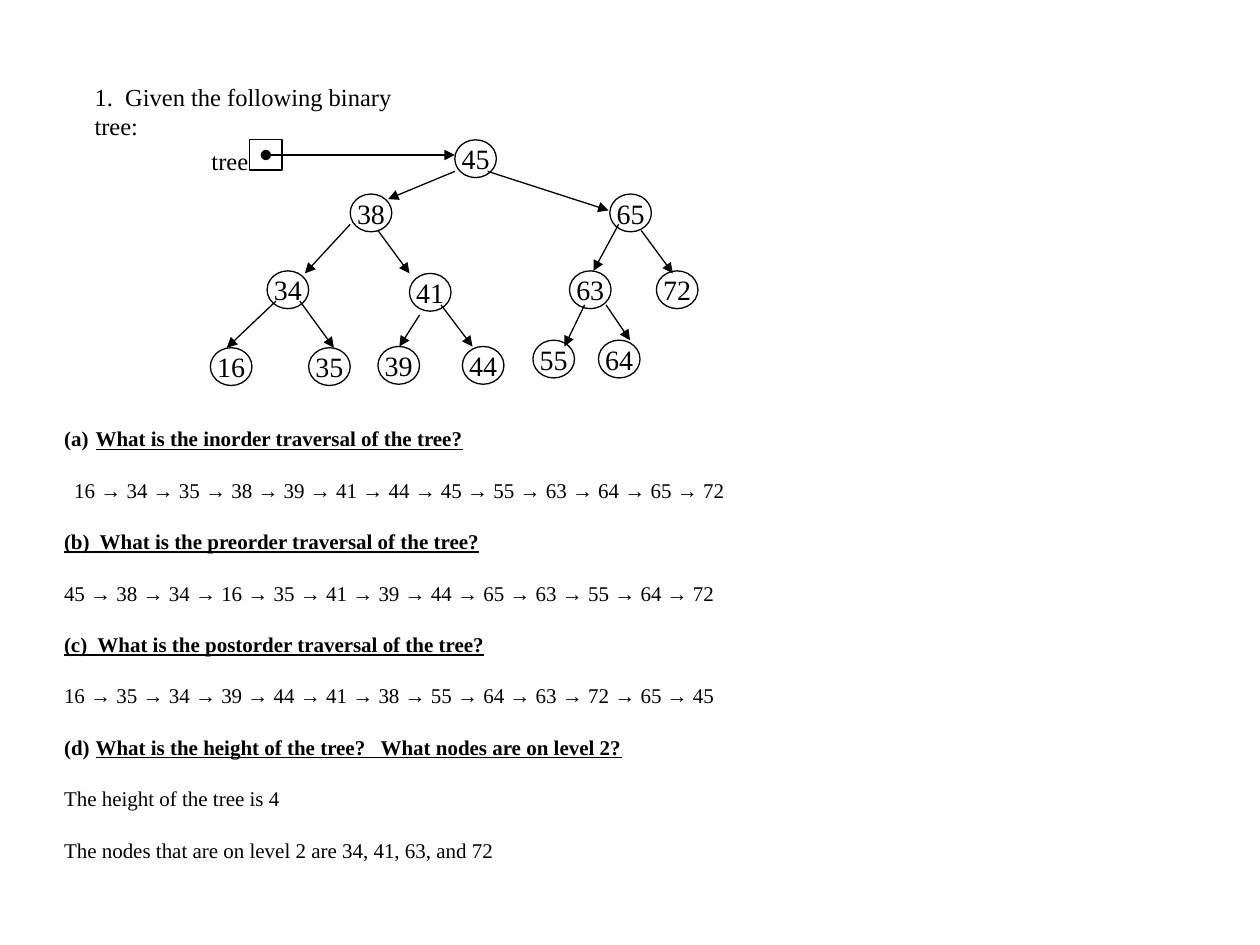
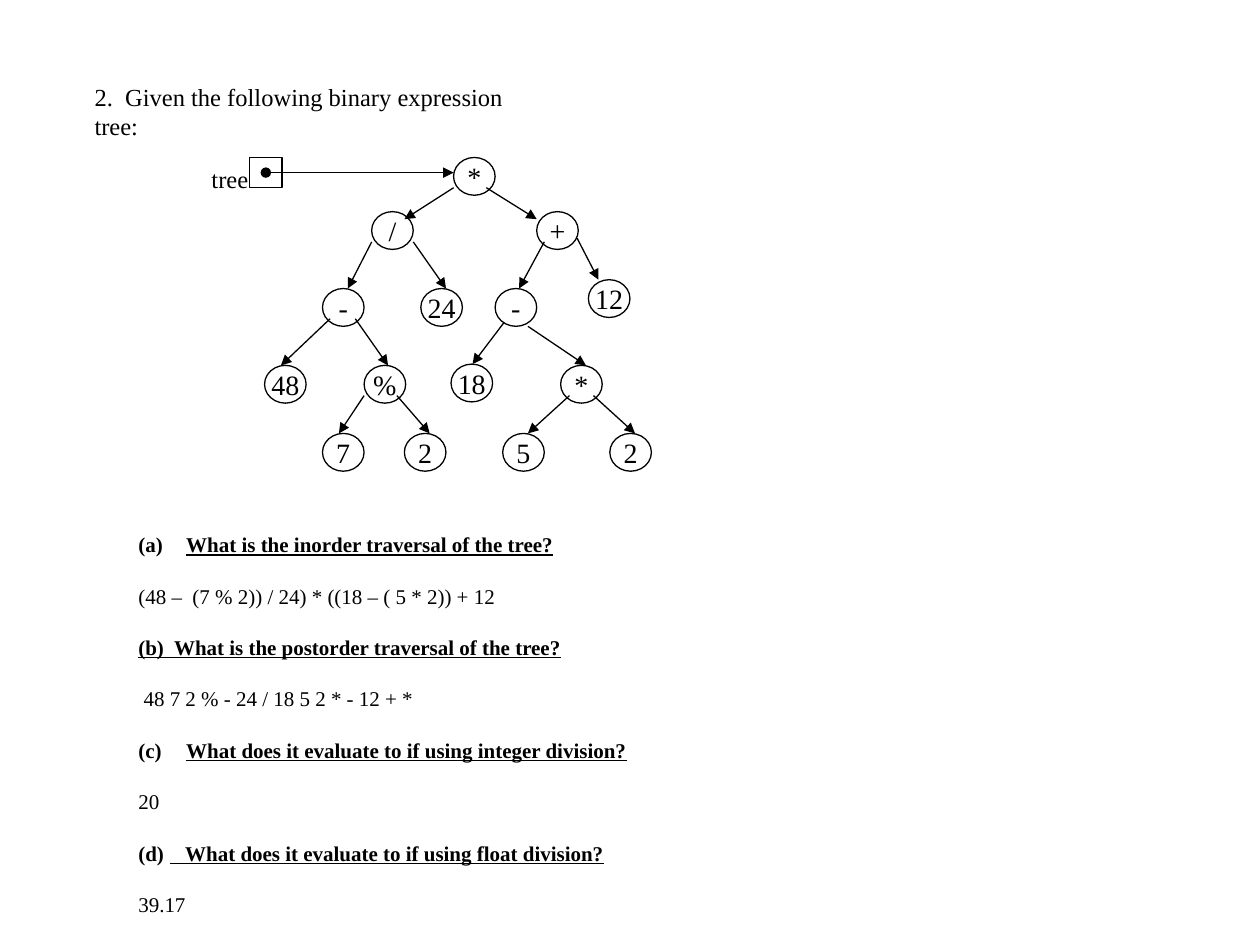
"""Build two slides of binary tree questions with their answers."""
from lxml.etree import SubElement
from pptx import Presentation
from pptx.dml.color import RGBColor
from pptx.enum.shapes import MSO_CONNECTOR, MSO_SHAPE
from pptx.enum.text import MSO_ANCHOR, MSO_AUTO_SIZE, PP_ALIGN
from pptx.oxml.ns import qn
from pptx.util import Inches, Pt

FONT = "Times New Roman"
HUES = {"ink": "000000"}
INK = RGBColor.from_string(HUES["ink"])
NODE_W, NODE_H = 0.33, 0.3
SEP = " \u2192 "

NUMBERS = {
    "title": "1.  Given the following binary tree:",
    "width": 2.85,
    "root": ("45", 3.61, 1.11),
    "nodes": [
        ("38", 2.78, 1.54, 3.61, 1.36, 3.08, 1.58),
        ("65", 4.84, 1.54, 3.87, 1.36, 4.83, 1.67),
        ("34", 2.12, 2.15, 2.78, 1.78, 2.42, 2.17),
        ("41", 3.25, 2.17, 3.00, 1.83, 3.25, 2.17),
        ("63", 4.52, 2.15, 4.91, 1.78, 4.71, 2.15),
        ("72", 5.21, 2.15, 5.09, 1.83, 5.34, 2.17),
        ("16", 1.67, 2.76, 2.19, 2.39, 1.80, 2.76),
        ("35", 2.45, 2.76, 2.38, 2.39, 2.65, 2.76),
        ("39", 3.00, 2.75, 3.33, 2.50, 3.17, 2.75),
        ("44", 3.67, 2.75, 3.50, 2.42, 3.75, 2.75),
        ("55", 4.23, 2.70, 4.64, 2.42, 4.48, 2.75),
        ("64", 4.75, 2.70, 4.81, 2.42, 5.00, 2.70),
    ],
    "body": (0.41, 3.33, 7.59, 3.94),
    "lines": [
        ("What is the inorder traversal of the tree?",
         {"head": True, "start": 1, "hang": 0.25}),
        (SEP.join("16 34 35 38 39 41 44 45 55 63 64 65 72".split()),
         {"left": 0.08}),
        ("(b)  What is the preorder traversal of the tree?", {"head": True}),
        (SEP.join("45 38 34 16 35 41 39 44 65 63 55 64 72".split()), {}),
        ("(c)  What is the postorder traversal of the tree?", {"head": True}),
        (SEP.join("16 35 34 39 44 41 38 55 64 63 72 65 45".split()), {}),
        ("What is the height of the tree?   What nodes are on level 2?",
         {"head": True, "start": 4, "hang": 0.25}),
        ("The height of the tree is 4", {}),
        ("The nodes that are on level 2 are 34, 41, 63, and 72", {}),
    ],
}

FORMULA = {
    "title": "2.  Given the following binary expression tree:",
    "width": 3.75,
    "root": ("*", 3.6, 1.25),
    "nodes": [
        ("/", 2.95, 1.68, 3.60, 1.49, 3.21, 1.74),
        ("+", 4.26, 1.68, 3.86, 1.49, 4.26, 1.74),
        ("-", 2.56, 2.29, 2.95, 1.92, 2.76, 2.29),
        ("24", 3.34, 2.29, 3.28, 1.92, 3.54, 2.29),
        ("-", 3.93, 2.29, 4.32, 1.92, 4.12, 2.29),
        ("12", 4.67, 2.22, 4.58, 1.89, 4.75, 2.22),
        ("48", 2.10, 2.90, 2.62, 2.53, 2.23, 2.90),
        ("%", 2.89, 2.90, 2.82, 2.53, 3.08, 2.90),
        ("18", 3.58, 2.89, 4.00, 2.56, 3.75, 2.89),
        ("*", 4.45, 2.90, 4.19, 2.59, 4.65, 2.90),
        ("7", 2.56, 3.44, 2.89, 3.14, 2.69, 3.44),
        ("2", 3.21, 3.44, 3.15, 3.14, 3.41, 3.44),
        ("5", 3.99, 3.44, 4.52, 3.14, 4.19, 3.44),
        ("2", 4.84, 3.44, 4.71, 3.14, 5.04, 3.44),
    ],
    "body": (1, 4.17, 4.2, 3.33),
    "lines": [
        ("What is the inorder traversal of the tree?",
         {"head": True, "start": 1, "hang": 0.38}),
        ("(48 \u2013  (7 % 2)) / 24) * ((18 \u2013 ( 5 * 2)) + 12", {}),
        ("(b)  What is the postorder traversal of the tree?", {"head": True}),
        (" 48 7 2 % - 24 / 18 5 2 * - 12 + *", {}),
        ("What does it evaluate to if using integer division?",
         {"head": True, "start": 3, "hang": 0.38}),
        ("20", {}),
        ("   What does it evaluate to if using float division?",
         {"head": True, "start": 4, "hang": 0.25}),
        ("39.17", {}),
    ],
}


def write(para, text, size=14, head=False, align=PP_ALIGN.LEFT, after=0,
          left=0, hang=0, start=None):
    run = para.add_run()
    run.text = text
    font = run.font
    font.name, font.size = FONT, Pt(size)
    font.bold = font.underline = head
    font.color.rgb = INK
    para.alignment = align
    para.space_after = Pt(after)
    props = para._p.get_or_add_pPr()
    props.set("marL", str(Inches(left + hang)))
    props.set("indent", str(Inches(-hang)))
    if start:
        SubElement(props, qn("a:buAutoNum"), type="alphaLcParenBoth",
                   startAt=str(start))


def place(shape, *box):
    shape.left, shape.top, shape.width, shape.height = map(Inches, box)


def frame(shape, wrap=True, anchor=MSO_ANCHOR.TOP):
    area = shape.text_frame
    area.auto_size = MSO_AUTO_SIZE.NONE
    area.word_wrap = wrap
    area.vertical_anchor = anchor
    return area


def stroke(shape):
    shape.line.color.rgb = INK
    shape.line.width = Pt(0.75)


def outline(shapes, kind, *box):
    shape = shapes.add_shape(kind, *map(Inches, box))
    shape.shadow.inherit = False
    shape.fill.background()
    stroke(shape)
    return shape


def arrow(shapes, *ends, head="none"):
    line = shapes.add_connector(MSO_CONNECTOR.STRAIGHT, *map(Inches, ends))
    stroke(line)
    props = line.element.spPr
    pen = props.find(qn("a:ln"))
    SubElement(pen, qn("a:headEnd"), type=head)
    SubElement(pen, qn("a:tailEnd"), type="triangle")
    SubElement(props, qn("a:effectLst"))


def node(shapes, text, left, top):
    oval = outline(shapes, MSO_SHAPE.OVAL, left, top, NODE_W, NODE_H)
    area = frame(oval, wrap=False, anchor=MSO_ANCHOR.MIDDLE)
    write(area.paragraphs[0], text, size=16, align=PP_ALIGN.CENTER)


def pointer(shapes, left, top):
    outline(shapes, MSO_SHAPE.RECTANGLE, 1.98, top, 0.26, 0.24)
    label = shapes.add_textbox(*map(Inches, (1.58, top, 0.49, 0.33)))
    write(frame(label, wrap=False).paragraphs[0], "tree")
    mid = top + 0.12
    arrow(shapes, 2.11, mid, left, mid, head="oval")


def tree(slide, root, nodes):
    shapes = slide.shapes.add_group_shape().shapes
    node(shapes, *root)
    pointer(shapes, *root[1:])
    for text, left, top, *ends in nodes:
        node(shapes, text, left, top)
        arrow(shapes, *ends)


def answers(slide, box, lines):
    area = frame(slide.shapes.add_textbox(*map(Inches, box)))
    for count, (text, style) in enumerate(lines):
        para = area.add_paragraph() if count else area.paragraphs[0]
        write(para, text, size=12, after=15, **style)


def page(deck, data):
    slide = deck.slides.add_slide(deck.slide_layouts[5])
    title = slide.shapes.title
    place(title, 0.65, 0.6, data["width"], 0.33)
    write(frame(title).paragraphs[0], data["title"])
    answers(slide, data["body"], data["lines"])
    tree(slide, data["root"], data["nodes"])


def main():
    deck = Presentation()
    deck.slide_width, deck.slide_height = Inches(10), Inches(7.5)
    for data in (NUMBERS, FORMULA):
        page(deck, data)
    deck.save("out.pptx")


main()
